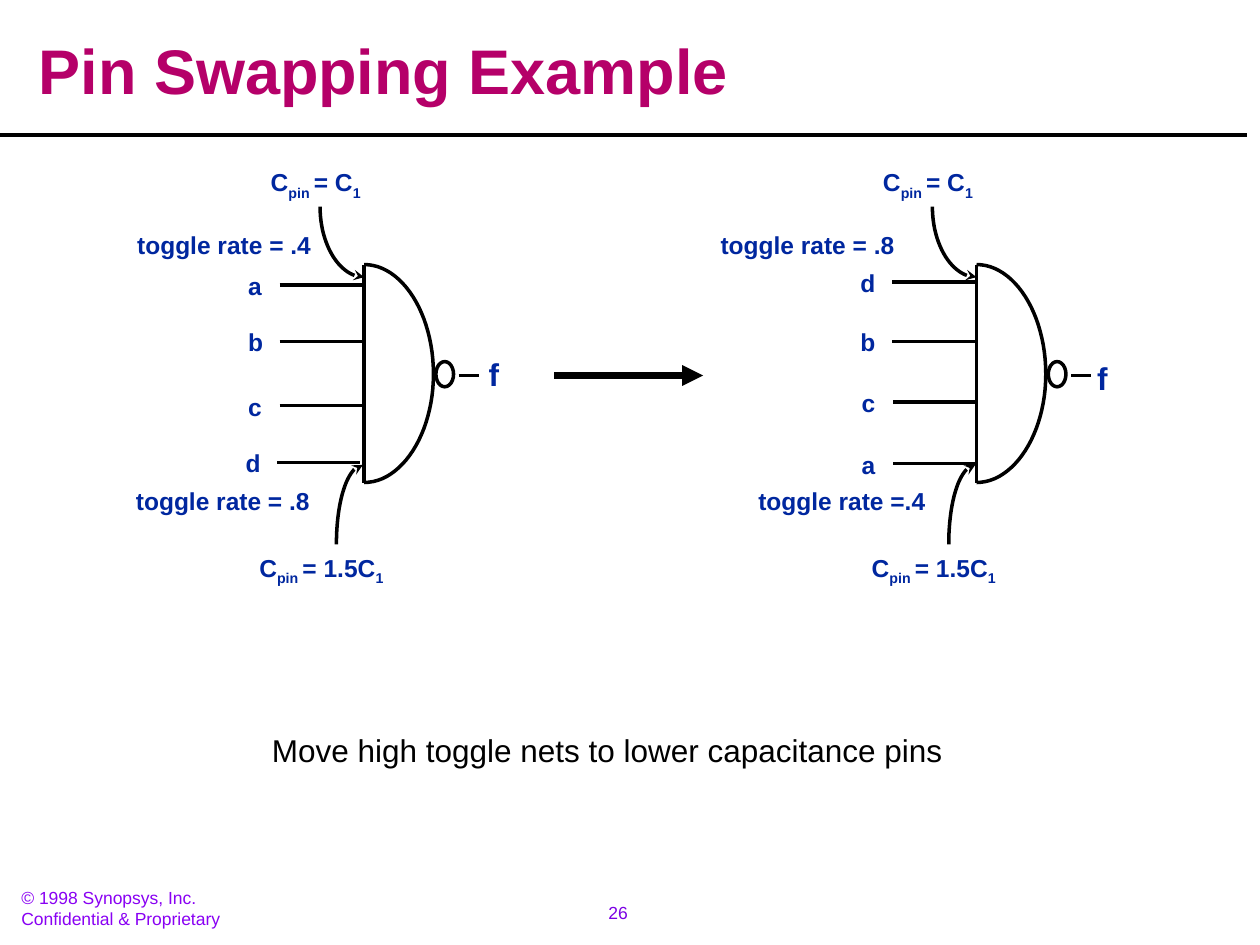
from lxml import etree
from pptx import Presentation
from pptx.dml.color import RGBColor
from pptx.enum.shapes import MSO_CONNECTOR, MSO_SHAPE
from pptx.enum.text import MSO_ANCHOR, MSO_AUTO_SIZE, PP_ALIGN
from pptx.oxml.ns import qn
from pptx.util import Inches, Pt

STRAIGHT = MSO_CONNECTOR.STRAIGHT
OVAL = MSO_SHAPE.OVAL
GROW = MSO_AUTO_SIZE.SHAPE_TO_FIT_TEXT
LEFT, CENTER = PP_ALIGN.LEFT, PP_ALIGN.CENTER
TOP, BOTTOM = MSO_ANCHOR.TOP, MSO_ANCHOR.BOTTOM
BLACK, NAVY = "000000", "00279F"
STEPS = 24


def color(code):
    """Turn a hex string into a colour."""
    return RGBColor.from_string(code)


def stroke(shape, width=2, tip=None):
    """Give a shape a black outline and perhaps an arrowhead."""
    shape.line.color.rgb = color(BLACK)
    shape.line.width = Pt(width)
    if tip:
        ln = shape.line._get_or_add_ln()
        etree.SubElement(ln, qn("a:tailEnd"), type=tip)


def add_line(slide, start, end, width=2, tip=None):
    """Draw a straight line between two points."""
    line = slide.shapes.add_connector(
        STRAIGHT, *(Inches(n) for n in (*start, *end)))
    stroke(line, width, tip)
    etree.SubElement(line._element.spPr, qn("a:effectLst"))


def bezier(a, b, c, d):
    """List points along a cubic curve."""
    points = []
    for step in range(STEPS + 1):
        t = step / STEPS
        u = 1 - t
        points.append(tuple(
            u**3 * p + 3 * u * u * t * q + 3 * u * t * t * r + t**3 * s
            for p, q, r, s in zip(a, b, c, d)))
    return points


def add_curve(slide, points, dx, tip=None):
    """Draw an open outline shifted to the right by dx."""
    spots = [(Inches(x + dx), Inches(y)) for x, y in points]
    pen = slide.shapes.build_freeform(*spots[0])
    pen.add_line_segments(spots[1:], close=False)
    curve = pen.convert_to_shape()
    curve.fill.background()
    curve.shadow.inherit = False
    stroke(curve, tip=tip)


def add_text(slide, box, lines, size=14, code=NAVY, bold=True, wrap=False,
             grow=True, align=LEFT, anchor=TOP, space=None, pad=(0.1, 0.05)):
    """Write lines of runs, each run a text with its baseline."""
    shape = slide.shapes.add_textbox(*(Inches(n) for n in box))
    frame = shape.text_frame
    frame.word_wrap = wrap
    if grow:
        frame.auto_size = GROW
    frame.vertical_anchor = anchor
    frame.margin_left = frame.margin_right = Inches(pad[0])
    frame.margin_top = frame.margin_bottom = Inches(pad[1])
    for i, runs in enumerate(lines):
        para = frame.add_paragraph() if i else frame.paragraphs[0]
        para.alignment = align
        if space:
            para.line_spacing = space
        for text, base in runs:
            run = para.add_run()
            run.text = text
            run.font.name = "Arial"
            run.font.size = Pt(size)
            run.font.bold = bold
            run.font.color.rgb = color(code)
            if base:
                run._r.get_or_add_rPr().set("baseline", str(base * 1000))


def plain(*texts):
    """Make one line of a single run from each text."""
    return [[(text, 0)] for text in texts]


def add_cap(slide, box, value):
    """Write a pin capacitance with subscripts."""
    runs = [("C", 0), ("pin ", -25), (f"= {value}", 0), ("1", -25)]
    add_text(slide, box, [runs], wrap=True)


def add_gate(slide, dx):
    """Draw the gate, its output and the arrows to its outer pins."""
    upper = bezier((2.89, 2.1), (3.19, 2.1), (3.44, 2.49), (3.44, 2.97))
    lower = bezier((3.44, 2.97), (3.44, 3.44), (3.19, 3.83), (2.89, 3.83))
    add_curve(slide, upper + lower[1:], dx)
    add_line(slide, (2.89 + dx, 2.1), (2.89 + dx, 3.83))
    bubble = slide.shapes.add_shape(
        OVAL, Inches(3.46 + dx), Inches(2.87), Inches(0.14), Inches(0.2))
    bubble.fill.background()
    bubble.shadow.inherit = False
    stroke(bubble)
    add_line(slide, (3.64 + dx, 2.98), (3.8 + dx, 2.98))
    add_curve(slide, bezier((2.54, 1.64), (2.54, 1.95), (2.7, 2.2),
                            (2.89, 2.2)), dx, "stealth")
    add_curve(slide, bezier((2.67, 4.32), (2.67, 3.97), (2.76, 3.7),
                            (2.88, 3.69)), dx, "stealth")
    add_cap(slide, (2.05 + dx, 1.28, 1.1, 0.37), "C")
    add_cap(slide, (1.96 + dx, 4.34, 1.43, 0.37), "1.5C")


def add_pins(slide, pins):
    """Draw each input wire with its name on the left."""
    for name, x, y in pins:
        add_line(slide, (x, y), (x + 0.66, y))
        wide = 0.32 if name in "bd" else 0.31
        add_text(slide, (x - 0.35, y - 0.16, wide, 0.33), plain(name))


def add_rates(slide, rates):
    """Write the toggle rates."""
    for text, x, y, wide in rates:
        add_text(slide, (x, y, wide, 0.33), plain(text))


def main():
    """Build the slide and save it."""
    deck = Presentation()
    deck.slide_width, deck.slide_height = Inches(10), Inches(7.5)
    slide = deck.slides.add_slide(deck.slide_layouts[6])

    add_line(slide, (0, 1.07), (9.9, 1.07))
    add_text(slide, (4.49, 7.11, 0.83, 0.27), plain("26"), 10, "7B00E4",
             bold=False, align=CENTER)
    add_text(slide, (0.1, 7.01, 2, 0.39),
             plain("© 1998 Synopsys, Inc.", "Confidential & Proprietary"),
             10, "8901F3", bold=False, wrap=True, pad=(0.07, 0.03))
    add_text(slide, (0.21, 0.15, 9.71, 0.76), plain("Pin Swapping Example"),
             36, "B50069", wrap=True, grow=False, anchor=BOTTOM, space=0.9)

    add_gate(slide, 0)
    add_pins(slide, [("a", 2.22, 2.26), ("b", 2.22, 2.71),
                     ("c", 2.22, 3.22), ("d", 2.2, 3.67)])
    add_rates(slide, [("toggle rate = .4", 0.99, 1.78, 1.58),
                      ("toggle rate = .8", 0.98, 3.81, 1.58)])
    add_text(slide, (3.78, 2.77, 0.29, 0.4), plain("f"), 18)

    add_line(slide, (4.4, 2.98), (5.58, 2.98), 4, "triangle")

    add_gate(slide, 4.86)
    add_pins(slide, [("d", 7.08, 2.24), ("b", 7.08, 2.71),
                     ("c", 7.09, 3.19), ("a", 7.09, 3.68)])
    add_rates(slide, [("toggle rate = .8", 5.62, 1.78, 1.58),
                      ("toggle rate =.4", 5.92, 3.81, 1.53)])
    add_text(slide, (8.61, 2.8, 0.29, 0.4), plain("f"), 18)

    add_text(slide, (2.06, 5.63, 5.52, 0.52),
             plain("Move high toggle nets to lower capacitance pins"),
             18, BLACK, bold=False, space=1.4)
    deck.save("out.pptx")


if __name__ == "__main__":
    main()
